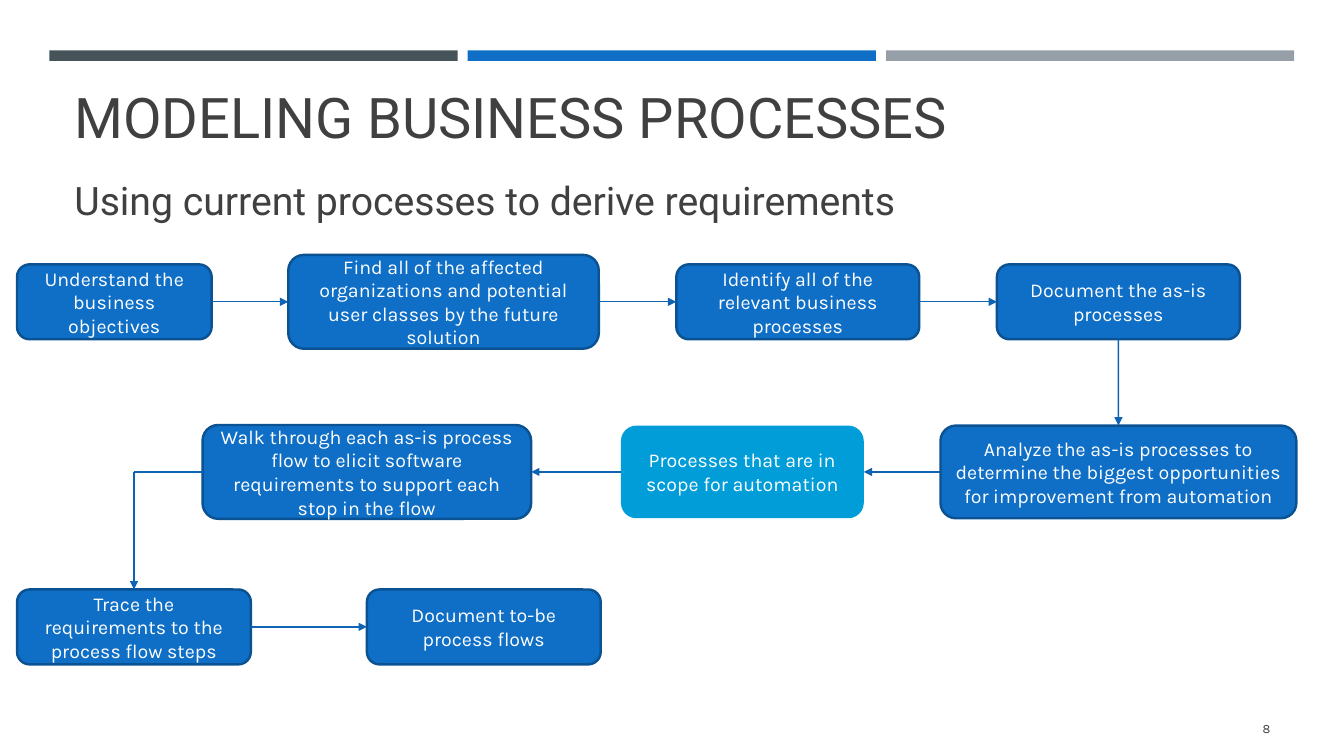
from lxml import etree
from pptx import Presentation
from pptx.dml.color import RGBColor
from pptx.enum import shapes, text
from pptx.oxml import ns
from pptx.util import Pt

COLORS = {
    "slate": "465359", "blue": "0F6FC6", "gray": "969FA7", "cyan": "009DD9",
    "border": "0B5292", "arrow": "0E64B2", "ink": "404040", "white": "FFFFFF",
}
TITLE = "MODELING BUSINESS PROCESSES"
SUBTITLE = "Using current processes to derive requirements"
PAGE = "8"
BARS = ["slate", "blue", "gray"]
ROW_CENTERS = [215.6, 337.1, 447.8]
STEPS = [
    ("Understand the business objectives", 0, 12.2, 139, 53.5),
    ("Find all of the affected organizations and potential user classes by the future solution",
     0, 205.9, 221.8, 67),
    ("Identify all of the relevant business processes", 0, 483.1, 173.5, 53.5),
    ("Document the as-is processes", 0, 712.1, 173.5, 53.5),
    ("Analyze the as-is processes to determine the biggest opportunities for improvement from automation",
     1, 671.8, 254.2, 66.2),
    ("Processes that are in scope for automation", 1, 443.5, 173.5, 66.2),
    ("Walk through each as-is process flow to elicit software requirements to support each stop in the flow",
     1, 144.7, 234.7, 67),
    ("Trace the requirements to the process flow steps", 2, 12.2, 167, 53.5),
    ("Document to-be process flows", 2, 262.1, 167, 53.5),
]
SCOPE_STEP = 5
TOP, LEFT, BOTTOM, RIGHT = range(4)
ARROWS = [
    (0, RIGHT, 1, LEFT), (1, RIGHT, 2, LEFT), (2, RIGHT, 3, LEFT),
    (3, BOTTOM, 4, TOP), (4, LEFT, 5, RIGHT), (5, LEFT, 6, RIGHT),
    (7, RIGHT, 8, LEFT),
]
WALK, TRACE = 6, 7


def rgb(name):
    return RGBColor.from_string(COLORS[name])


def write(sp, content, size, font="Karla", color="ink",
          align=text.PP_ALIGN.LEFT, anchor=text.MSO_ANCHOR.TOP):
    tf = sp.text_frame
    tf.word_wrap = True
    tf.vertical_anchor = anchor
    p = tf.paragraphs[0]
    p.alignment = align
    r = p.add_run()
    r.text = content
    r.font.size = Pt(size)
    r.font.name = font
    r.font.color.rgb = rgb(color)


def add_block(s, kind, x, y, w, h, fill, border=None):
    sp = s.shapes.add_shape(kind, Pt(x), Pt(y), Pt(w), Pt(h))
    sp.shadow.inherit = False
    sp.fill.solid()
    sp.fill.fore_color.rgb = rgb(fill)
    if border:
        sp.line.color.rgb = rgb(border)
        sp.line.width = Pt(1.75)
    else:
        sp.line.fill.background()
    return sp


def add_line(s, x1=0, y1=0, x2=0, y2=0, head=True):
    cx = s.shapes.add_connector(shapes.MSO_CONNECTOR.STRAIGHT, x1, y1, x2, y2)
    cx.line.color.rgb = rgb("arrow")
    cx.line.width = Pt(1)
    if head:
        etree.SubElement(cx.line._get_or_add_ln(), ns.qn("a:tailEnd"), type="triangle")
    etree.SubElement(cx._element.spPr, ns.qn("a:effectLst"))
    return cx


def main():
    prs = Presentation()
    prs.slide_width, prs.slide_height = Pt(960), Pt(540)
    s = prs.slides.add_slide(prs.slide_layouts[6])

    for i, fill in enumerate(BARS):
        add_block(s, shapes.MSO_SHAPE.RECTANGLE, 35.3 + i * 298.8, 36, 291.6, 7.5, fill)

    write(s.shapes.add_textbox(Pt(46.1), Pt(55.4), Pt(868.3), Pt(93.6)),
          TITLE, 40, font="Roboto")
    write(s.shapes.add_textbox(Pt(46.1), Pt(122.4), Pt(868.3), Pt(53.3)),
          SUBTITLE, 28, font="Roboto")
    write(s.shapes.add_textbox(Pt(831.6), Pt(506.2), Pt(82.8), Pt(28.8)),
          PAGE, 9, align=text.PP_ALIGN.RIGHT, anchor=text.MSO_ANCHOR.MIDDLE)

    boxes = []
    for i, (label, row, x, w, h) in enumerate(STEPS):
        fill, border = ("cyan", None) if i == SCOPE_STEP else ("blue", "border")
        sp = add_block(s, shapes.MSO_SHAPE.ROUNDED_RECTANGLE,
                       x, ROW_CENTERS[row] - h / 2, w, h, fill, border)
        write(sp, label, 14, color="white",
              align=text.PP_ALIGN.CENTER, anchor=text.MSO_ANCHOR.MIDDLE)
        boxes.append(sp)

    for start, start_side, end, end_side in ARROWS:
        cx = add_line(s)
        cx.begin_connect(boxes[start], start_side)
        cx.end_connect(boxes[end], end_side)

    walk, trace = boxes[WALK], boxes[TRACE]
    turn_x = trace.left + trace.width // 2
    turn_y = walk.top + walk.height // 2
    add_line(s, walk.left, turn_y, turn_x, turn_y, head=False)
    add_line(s, turn_x, turn_y, turn_x, trace.top)

    prs.save("out.pptx")


if __name__ == "__main__":
    main()
